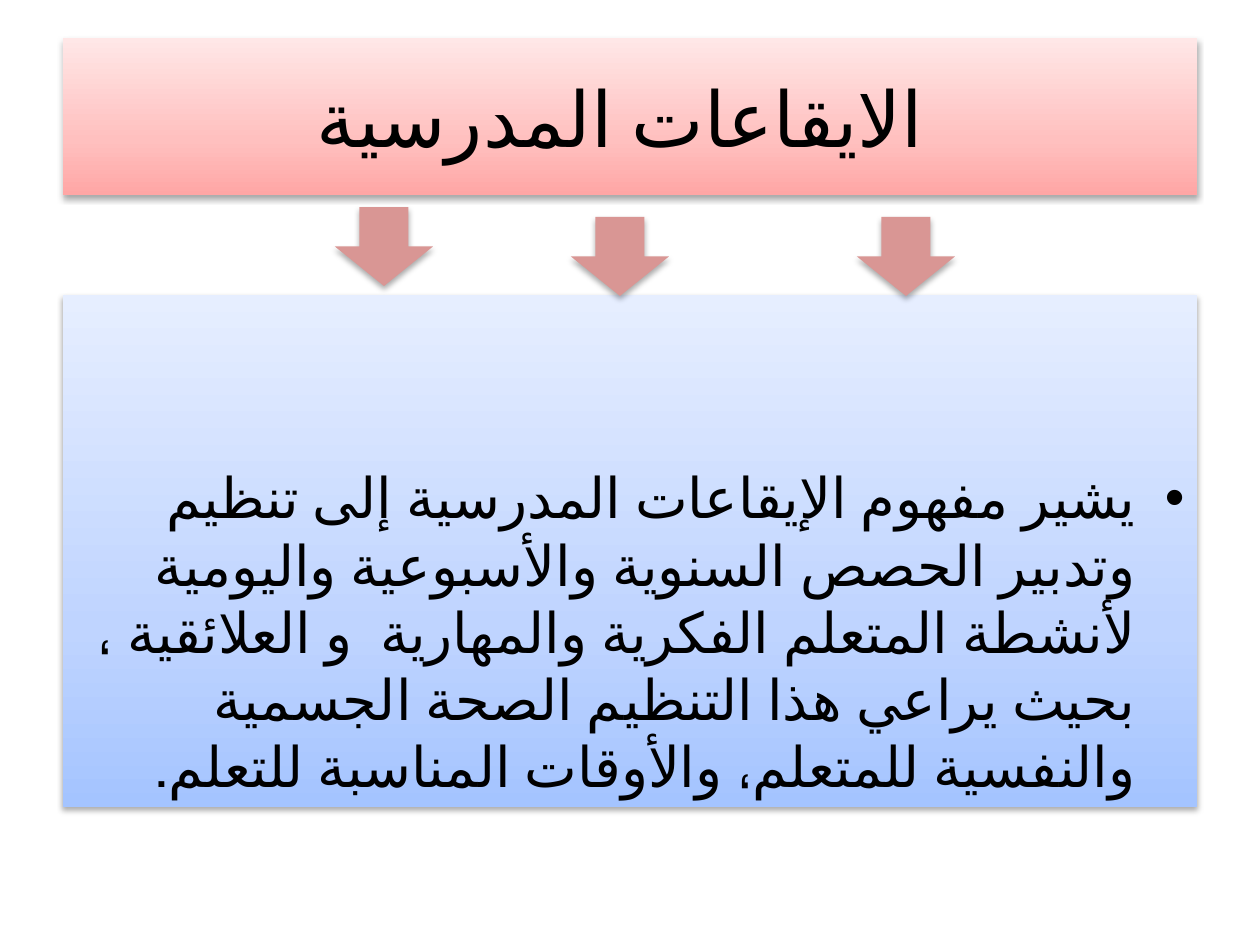
"""Builds a slide that defines school rhythms in Arabic."""
from lxml import etree
from pptx import Presentation, util as u
from pptx.dml.color import RGBColor
from pptx.enum import shapes, text
from pptx.oxml.ns import qn

SCALE = 914400 // 126
FONT = "Calibri"
RED_STOPS = ((0, "FFA6A5"), (35, "FFC0BF"), (100, "FFE7E7"))
BLUE_STOPS = ((0, "A4C4FF"), (35, "BFD4FF"), (100, "E6EEFF"))
ARROW_COLOUR = "D99694"
ARROWS = ((335, 207), (571, 217), (857, 217))
TITLE = "الايقاعات المدرسية "
DEFINITION = (
    "يشير مفهوم الإيقاعات المدرسية إلى تنظيم وتدبير الحصص السنوية "
    "والأسبوعية واليومية لأنشطة المتعلم الفكرية والمهارية  و العلائقية ، "
    "بحيث يراعي هذا التنظيم الصحة الجسمية والنفسية للمتعلم، "
    "والأوقات المناسبة للتعلم."
)


def px(length):
    """Turn pixels into EMU."""
    return u.Emu(length * SCALE)


def rgb(colour):
    """Turn a hex string into a colour."""
    return RGBColor.from_string(colour)


def add_node(parent, tag, **attributes):
    """Append a drawing element to a parent."""
    values = {name: str(value) for name, value in attributes.items()}
    return etree.SubElement(parent, qn(tag), values)


def add_shadow(shape):
    """Give a shape a soft shadow below it."""
    shape.shadow.inherit = False
    effects = shape._element.spPr.find(qn("a:effectLst"))
    shadow = add_node(effects, "a:outerShdw", blurRad=u.Pt(3.5), dist=u.Pt(2.2),
                      dir=5400000, rotWithShape=0)
    colour = add_node(shadow, "a:srgbClr", val="000000")
    add_node(colour, "a:alpha", val=32000)


def fill_gradient(shape, stops):
    """Fill a shape with colour stops that rise from its bottom edge."""
    shape.fill.gradient()
    shape.fill.gradient_angle = 90
    stop_list = shape._element.spPr.find(qn("a:gradFill")).find(qn("a:gsLst"))
    for old_stop in list(stop_list):
        stop_list.remove(old_stop)
    for position, colour in stops:
        stop = add_node(stop_list, "a:gs", pos=position * 1000)
        add_node(stop, "a:srgbClr", val=colour)


def add_block(slide, kind, left, top, width, height):
    """Add a shape without an outline and with a shadow."""
    shape = slide.shapes.add_shape(kind, px(left), px(top), px(width), px(height))
    shape.line.fill.background()
    add_shadow(shape)
    return shape


def add_panel(slide, top, height, stops):
    """Add a full-width gradient panel."""
    shape = add_block(slide, shapes.MSO_SHAPE.RECTANGLE, 63, top, 1134, height)
    fill_gradient(shape, stops)
    return shape


def add_arrow(slide, left, top):
    """Add an arrow that points down."""
    shape = add_block(slide, shapes.MSO_SHAPE.DOWN_ARROW, left, top, 98, 79)
    shape.fill.solid()
    shape.fill.fore_color.rgb = rgb(ARROW_COLOUR)


def write(shape, content, *, size, align, anchor, colour="000000", bottom=6,
          bullet=False):
    """Write formatted text into a shape."""
    frame = shape.text_frame
    frame.word_wrap = True
    frame.vertical_anchor = anchor
    frame.margin_bottom = px(bottom)
    paragraph = frame.paragraphs[0]
    paragraph.alignment = align
    run = paragraph.add_run()
    run.text = content
    run.font.name = FONT
    run.font.size = u.Pt(size)
    run.font.color.rgb = rgb(colour)
    run._r.get_or_add_rPr().set("lang", "ar-MA")
    if bullet:
        set_bullet(paragraph)


def set_bullet(paragraph):
    """Make a paragraph a right-to-left bullet with a hanging indent."""
    properties = paragraph._p.get_or_add_pPr()
    indent = u.Inches(0.38)
    for name, value in (("marL", indent), ("indent", -indent), ("rtl", 1)):
        properties.set(name, str(value))
    add_node(properties, "a:buFont", typeface="Arial")
    add_node(properties, "a:buChar", char="•")


def main():
    """Build and save the slide."""
    presentation = Presentation()
    presentation.slide_width = px(1260)
    presentation.slide_height = px(945)
    slide = presentation.slides.add_slide(presentation.slide_layouts[6])
    title = add_panel(slide, 38, 157, RED_STOPS)
    write(title, TITLE, size=44, align=text.PP_ALIGN.CENTER,
          anchor=text.MSO_ANCHOR.MIDDLE)
    definition = add_panel(slide, 295, 512, BLUE_STOPS)
    write(definition, DEFINITION, size=32, align=text.PP_ALIGN.RIGHT,
          anchor=text.MSO_ANCHOR.BOTTOM, bottom=8, bullet=True)
    for left, top in ARROWS:
        add_arrow(slide, left, top)
    presentation.save("out.pptx")


main()
